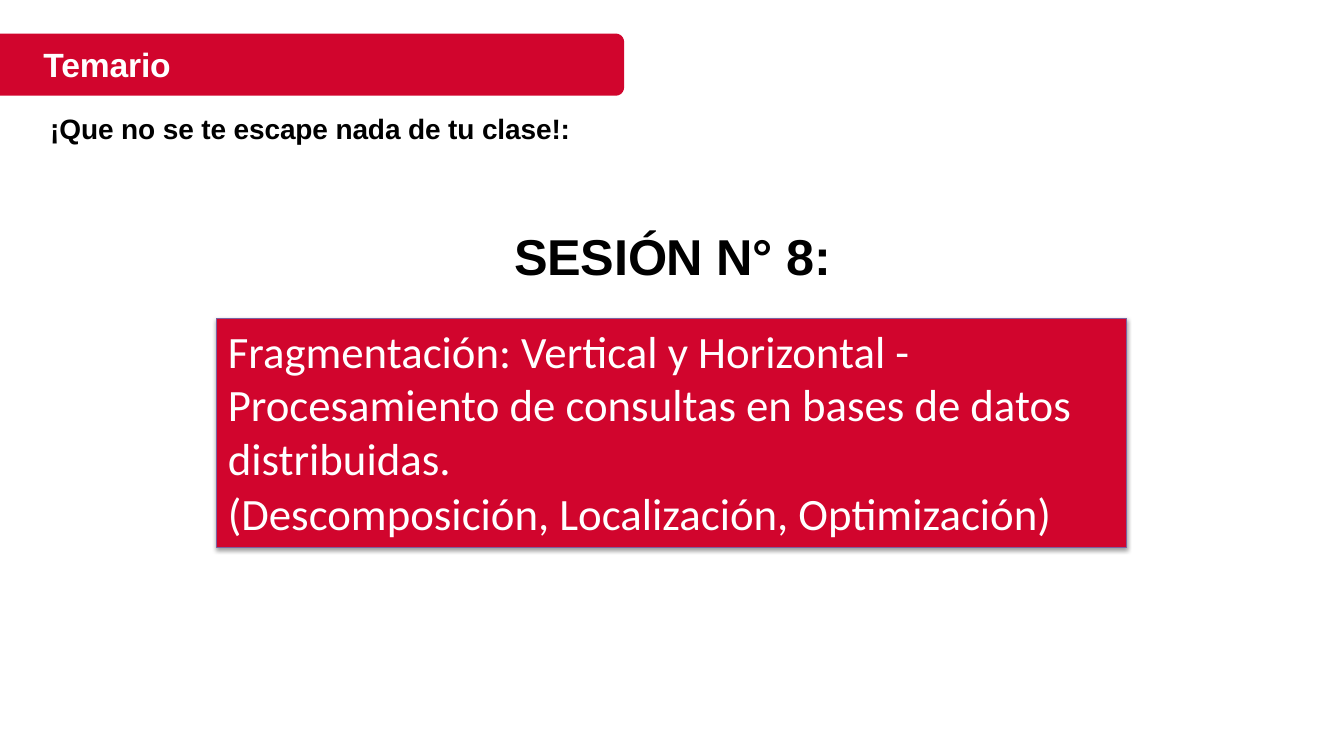
import math

from lxml import etree
from pptx import Presentation, util as u
from pptx.dml import color
from pptx.enum import shapes, text
from pptx.oxml import ns

RED, PURPLE, WHITE, BLACK = "D1052D", "7D60A0", "FFFFFF", "000000"


def rgb(value):
    return color.RGBColor.from_string(value)


class AgendaSlide:
    """Draws styled elements on one slide, measured on a 32 by 18 grid."""

    COLUMNS, ROWS = 32, 18

    def __init__(self, deck):
        self.page = deck.slides.add_slide(deck.slide_layouts[6])
        self.column = deck.slide_width / self.COLUMNS
        self.row = deck.slide_height / self.ROWS

    def place(self, left, top, width, height):
        return [round(n) for n in (left * self.column, top * self.row,
                                   width * self.column, height * self.row)]

    def add_lines(self, box, lines, font, size, ink, bold=False, tracking=0,
                  align=text.PP_ALIGN.LEFT, insets=(0.11, 0.05, 0.1, 0.05)):
        frame = box.text_frame
        frame.word_wrap = True
        frame.auto_size = text.MSO_AUTO_SIZE.SHAPE_TO_FIT_TEXT
        frame.vertical_anchor = text.MSO_ANCHOR.TOP
        (frame.margin_left, frame.margin_top, frame.margin_right,
         frame.margin_bottom) = map(u.Inches, insets)
        for index, line in enumerate(lines):
            para = frame.add_paragraph() if index else frame.paragraphs[0]
            para.alignment = align
            if index:
                para.space_before = u.Pt(1)
            span = para.add_run()
            span.text = line
            span.font.name, span.font.size = font, u.Pt(size)
            span.font.bold = bold
            span.font.color.rgb = rgb(ink)
            if tracking:
                span.font._element.set("spc", str(round(tracking * 100)))

    def label(self, area, line, size, ink=BLACK, **style):
        box = self.page.shapes.add_textbox(*self.place(*area))
        self.add_lines(box, [line], "Arial", size, ink, bold=True, **style)

    def panel(self, area, lines, size):
        box = self.page.shapes.add_shape(shapes.MSO_SHAPE.RECTANGLE, *self.place(*area))
        box.fill.solid()
        box.fill.fore_color.rgb = rgb(RED)
        box.line.color.rgb = rgb(PURPLE)
        box.line.width = u.Pt(0.75)
        self.cast_shadow(box)
        self.add_lines(box, lines, "Calibri", size, WHITE)

    def cast_shadow(self, box):
        box.shadow.inherit = False
        effects = box._element.spPr.find(ns.qn("a:effectLst"))
        shade = etree.SubElement(effects, ns.qn("a:outerShdw"), blurRad=str(u.Pt(3.1)),
                                 dist=str(u.Pt(1.6)), dir="5400000", rotWithShape="0")
        tint = etree.SubElement(shade, ns.qn("a:srgbClr"), val=BLACK)
        etree.SubElement(tint, ns.qn("a:alpha"), val="38000")

    def banner(self, area, radius, steps=6):
        left, top, width, height = self.place(*area)
        bend = radius * self.column
        right, bottom = left + width, top + height
        outline = []
        for centre_y, start in ((top + bend, -90), (bottom - bend, 0)):
            for step in range(steps + 1):
                angle = math.radians(start + 90 * step / steps)
                outline.append((round(right - bend + bend * math.cos(angle)),
                                round(centre_y + bend * math.sin(angle))))
        builder = self.page.shapes.build_freeform(left, top)
        builder.add_line_segments(outline + [(left, bottom)], close=True)
        band = builder.convert_to_shape()
        band.shadow.inherit = False
        band.fill.solid()
        band.fill.fore_color.rgb = rgb(RED)
        band.line.fill.background()


def main():
    deck = Presentation()
    deck.slide_width, deck.slide_height = u.Inches(13.33), u.Inches(7.5)
    agenda = AgendaSlide(deck)
    agenda.panel((5.16, 7.58, 21.67, 5.45), [
        "Fragmentación: Vertical y Horizontal - Procesamiento de consultas "
        "en bases de datos distribuidas.",
        "(Descomposición, Localización, Optimización)",
    ], 32)
    agenda.label((10.7, 5.23, 10.61, 1.7), "SESIÓN N° 8:", 36,
                 tracking=-0.2, align=text.PP_ALIGN.CENTER)
    agenda.banner((0, 0.8, 14.86, 1.48), 0.2)
    agenda.label((1.01, 1.01, 12.41, 1.01), "Temario", 24, WHITE,
                 tracking=-0.1, insets=(0.01, 0.01, 0, 0))
    agenda.label((0.96, 2.54, 14.06, 1.06), "¡Que no se te escape nada de tu clase!:",
                 20, tracking=-0.1, insets=(0.1, 0.05, 0.1, 0.05))
    deck.save("out.pptx")


if __name__ == "__main__":
    main()
